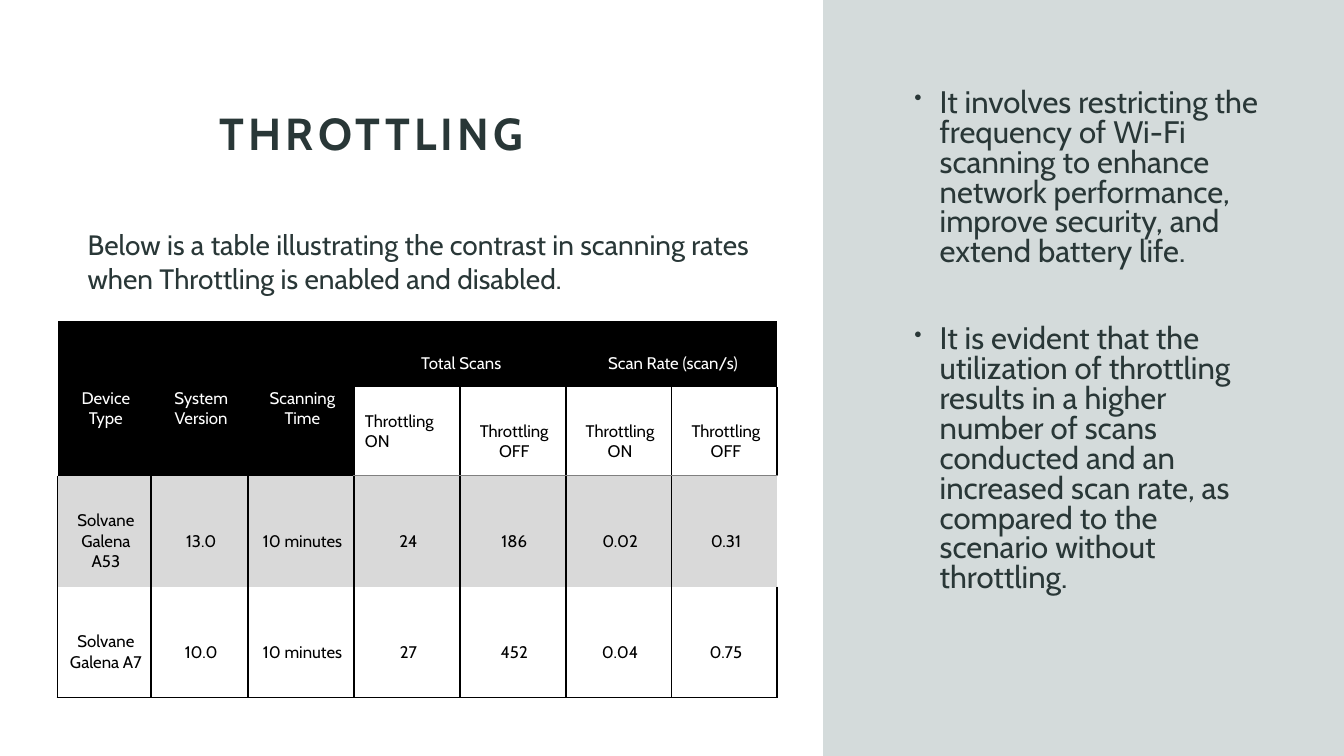
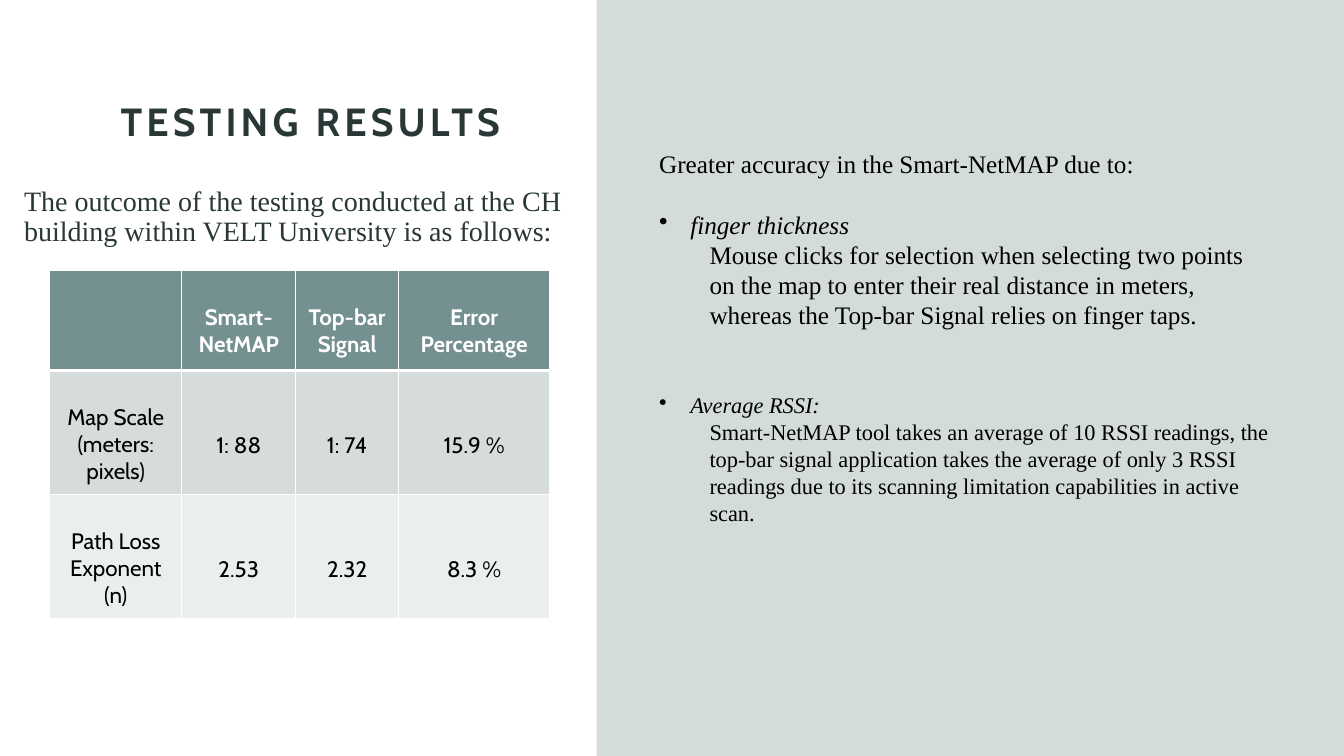
import pptx
import pptx.util
import pptx.dml.color
import pptx.enum.shapes
import pptx.enum.text
import pptx.oxml
import pptx.oxml.ns
from dataclasses import dataclass


@dataclass(frozen=True)
class Theme:
    wide: float = 13.33
    high: float = 7.5
    sans: str = "Cabin"
    serif: str = "Times New Roman"
    dark: str = "293737"
    ink: str = "000000"
    white: str = "FFFFFF"
    panel: str = "557272"
    teal: str = "749090"
    mist: str = "D6DBDB"
    pale: str = "EBEEEE"
    gray: str = "D9D9D9"
    rule: str = "808080"
    large: float = 22.2
    note: float = 20
    body: float = 18
    small: float = 16
    tiny: float = 12


T = Theme()
Inches, Pt = pptx.util.Inches, pptx.util.Pt
Align, Anchor = pptx.enum.text.PP_ALIGN, pptx.enum.text.MSO_ANCHOR
rgb = pptx.dml.color.RGBColor.from_string
qn = pptx.oxml.ns.qn
NS = pptx.oxml.ns.nsdecls("a")


def place(left, top, width, height):
    """Turn percent shares of the slide into lengths."""
    return [Inches(part * full / 100) for part, full in
            zip((left, top, width, height), (T.wide, T.high) * 2)]


def write(frame, lines):
    """Fill a text frame with (text, style) lines."""
    frame.word_wrap = True
    for i, (text, look) in enumerate(lines):
        para = frame.add_paragraph() if i else frame.paragraphs[0]
        para.alignment = look.get("align", Align.LEFT)
        para.line_spacing = look.get("space", 1.0)
        para.space_before = Pt(look.get("before", 0))
        props = para._p.get_or_add_pPr()
        left, first = look.get("indent", (0, 0))
        props.set("marL", str(Inches(left)))
        props.set("indent", str(Inches(first)))
        if "dot" in look:
            props.append(pptx.oxml.parse_xml(f'<a:buSzPct {NS} val="{look["dot"] * 1000}"/>'))
            props.append(pptx.oxml.parse_xml(f'<a:buChar {NS} char="•"/>'))
        run = para.add_run()
        run.text = text
        font = run.font
        font.name, font.size = look["font"], Pt(look["size"])
        font.bold, font.italic = look.get("bold", False), look.get("slant", False)
        font.color.rgb = rgb(look["color"])
        if "track" in look:
            run._r.get_or_add_rPr().set("spc", str(look["track"] * 100))


# Text styles
head = dict(font=T.sans, color=T.dark, bold=True, track=3, space=0.9, align=Align.CENTER)
intro = dict(font=T.sans, size=T.note, color=T.dark)
point = dict(font=T.sans, size=T.large, color=T.dark, space=0.8, before=10,
             indent=(0.25, -0.25), dot=70)
plain = dict(font=T.serif, size=T.body, color=T.ink)
term = dict(plain, slant=True, indent=(0.31, -0.31), dot=100)
deep = dict(plain, indent=(0.5, 0))

# Content of the pages; areas are percent shares of the slide
pages = [
    dict(
        split=61.25, title="THROTTLING", size=32, area=(11.85, 2.8, 31.6, 19.07),
        texts=[
            ((67.3, 11.2, 27.8, 65.6), [
                ("It involves restricting the frequency of Wi-Fi scanning to enhance network "
                 "performance, improve security, and extend battery life.", point),
                ("It is evident that the utilization of throttling results in a higher number "
                 "of scans conducted and an increased scan rate, as compared to the scenario "
                 "without throttling.", dict(point, before=41))]),
            ((5.78, 29.47, 53.1, 10.27), [
                ("Below is a table illustrating the contrast in scanning rates when "
                 "Throttling is enabled and disabled.", intro)])],
        spot=(4.28, 42.4, 53.5, 50),
        cols=[0.93, 0.96] + [1.05] * 5, rows=[0.66, 0.88, 1.1, 1.1],
        cells=[
            ["Device Type", "System Version", "Scanning Time", "Total Scans", "",
             "Scan Rate (scan/s)", ""],
            ["", "", "", "Throttling ON", "Throttling OFF", "Throttling ON", "Throttling OFF"],
            ["Solvane Galena A53", "13.0", "10 minutes", "24", "186", "0.02", "0.31"],
            ["Solvane Galena A7", "10.0", "10 minutes", "27", "452", "0.04", "0.75"]],
        fills=[[T.ink] * 7, [T.ink] * 3 + [None] * 4, [T.gray] * 7, [None] * 7],
        spans=[(0, 0, 1, 0), (0, 1, 1, 1), (0, 2, 1, 2), (0, 3, 0, 4), (0, 5, 0, 6)],
        type=T.tiny, pad=(0.11, 0.28, 0.08, 0.08), lined=True),
    dict(
        split=44.4, title="TESTING RESULTS", size=28, area=(1, 2.27, 44.2, 17.6),
        texts=[
            ((1.05, 24.13, 44.5, 13.33), [
                ("The outcome of the testing conducted at the CH building within VELT "
                 "University is as follows:",
                 dict(intro, font=T.serif, space=0.9, before=10))]),
            ((48.3, 18.93, 47, 51.6), [
                ("Greater accuracy in the Smart-NetMAP due to:", plain),
                ("finger thickness", dict(term, before=22)),
                ("Mouse clicks for selection when selecting two points on the map to enter "
                 "their real distance in meters, whereas the Top-bar Signal relies on finger "
                 "taps.", deep),
                ("Average RSSI:", dict(term, size=T.small, before=44)),
                ("Smart-NetMAP tool takes an average of 10 RSSI readings, the top-bar signal "
                 "application takes the average of only 3 RSSI readings due to its scanning "
                 "limitation capabilities in active scan.", dict(deep, size=T.small))])],
        spot=(3.7, 35.8, 37.2, 46),
        cols=[1.31, 1.13, 1.02, 1.5], rows=[0.99, 1.23, 1.23],
        cells=[
            ["", "Smart-NetMAP", "Top-bar Signal", "Error Percentage"],
            ["Map Scale (meters: pixels)", "1: 88", "1: 74", "15.9 %"],
            ["Path Loss Exponent (n)", "2.53", "2.32", "8.3 %"]],
        fills=[[T.teal] * 4, [T.mist] * 4, [T.pale] * 4],
        spans=[], type=T.small, pad=(0.11, 0.33, 0.11, 0.06), lined=False),
]

deck = pptx.Presentation()
deck.slide_width, deck.slide_height = Inches(T.wide), Inches(T.high)

for page in pages:
    slide = deck.slides.add_slide(deck.slide_layouts[6])

    # Side panel
    panel = slide.shapes.add_shape(
        pptx.enum.shapes.MSO_SHAPE.RECTANGLE,
        *place(page["split"], 0, 100 - page["split"], 100))
    panel.shadow.inherit = False
    panel.line.fill.background()
    panel.fill.solid()
    panel.fill.fore_color.rgb = rgb(T.panel)
    tint = panel.fill._xPr.find(qn("a:solidFill"))[0]
    tint.append(pptx.oxml.parse_xml(f'<a:alpha {NS} val="25000"/>'))

    # Title and texts
    title = slide.shapes.add_textbox(*place(*page["area"])).text_frame
    title.vertical_anchor = Anchor.BOTTOM
    write(title, [(page["title"], dict(head, size=page["size"]))])
    for area, lines in page["texts"]:
        write(slide.shapes.add_textbox(*place(*area)).text_frame, lines)

    # Table grid
    cols, rows, lined = page["cols"], page["rows"], page["lined"]
    table = slide.shapes.add_table(len(rows), len(cols), *place(*page["spot"])).table
    table.first_row = table.horz_banding = False
    for col, width in zip(table.columns, cols):
        col.width = Inches(width)
    for row, height in zip(table.rows, rows):
        row.height = Inches(height)
    for top, left, low, right in page["spans"]:
        table.cell(top, left).merge(table.cell(low, right))

    # Table cells
    for r, line in enumerate(page["cells"]):
        for c, text in enumerate(line):
            cell, fill = table.cell(r, c), page["fills"][r][c]

            # Borders: L, R, T, B as (colour, width)
            edges = dict.fromkeys("LRTB")
            if not lined:
                edges = dict.fromkeys("LRTB", (T.white, 1))
                if r < 2:
                    edges["TB"[r == 0]] = (T.white, 3)
            elif fill != T.ink:
                edges["L"] = edges["R"] = (T.ink, 1.5)
                if r == 1:
                    edges["B"] = (T.rule, 0.5)
                if r == 2 and c > 2:
                    edges["T"] = (T.rule, 0.5)
                if r == 2 and c == len(cols) - 1:
                    edges["R"] = None
                if r == len(rows) - 1:
                    edges["B"] = (T.ink, 1.5)
            for side, edge in edges.items():
                color, width = edge or (None, 0)
                paint = (f'<a:solidFill><a:srgbClr val="{color}"/></a:solidFill>'
                         if edge else "<a:noFill/>")
                cell._tc.get_or_add_tcPr().append(pptx.oxml.parse_xml(
                    f'<a:ln{side} {NS} w="{Pt(width)}">{paint}</a:ln{side}>'))

            # Fill
            if fill:
                cell.fill.solid()
                cell.fill.fore_color.rgb = rgb(fill)
            else:
                cell.fill.background()

            # Text
            if not text:
                continue
            flush = lined and (r, c) == (1, 3)
            left, top, right, low = page["pad"]
            cell.margin_left, cell.margin_right = Inches(left), Inches(right)
            cell.margin_top, cell.margin_bottom = Inches(low if flush else top), Inches(low)
            middle = lined or (r and c)
            cell.vertical_anchor = Anchor.MIDDLE if middle else Anchor.TOP
            write(cell.text_frame, [(text, dict(
                font=T.sans, size=page["type"], bold=fill == T.teal,
                color=T.white if fill in (T.ink, T.teal) else T.ink,
                align=Align.LEFT if flush else Align.CENTER))])

deck.save("out.pptx")
